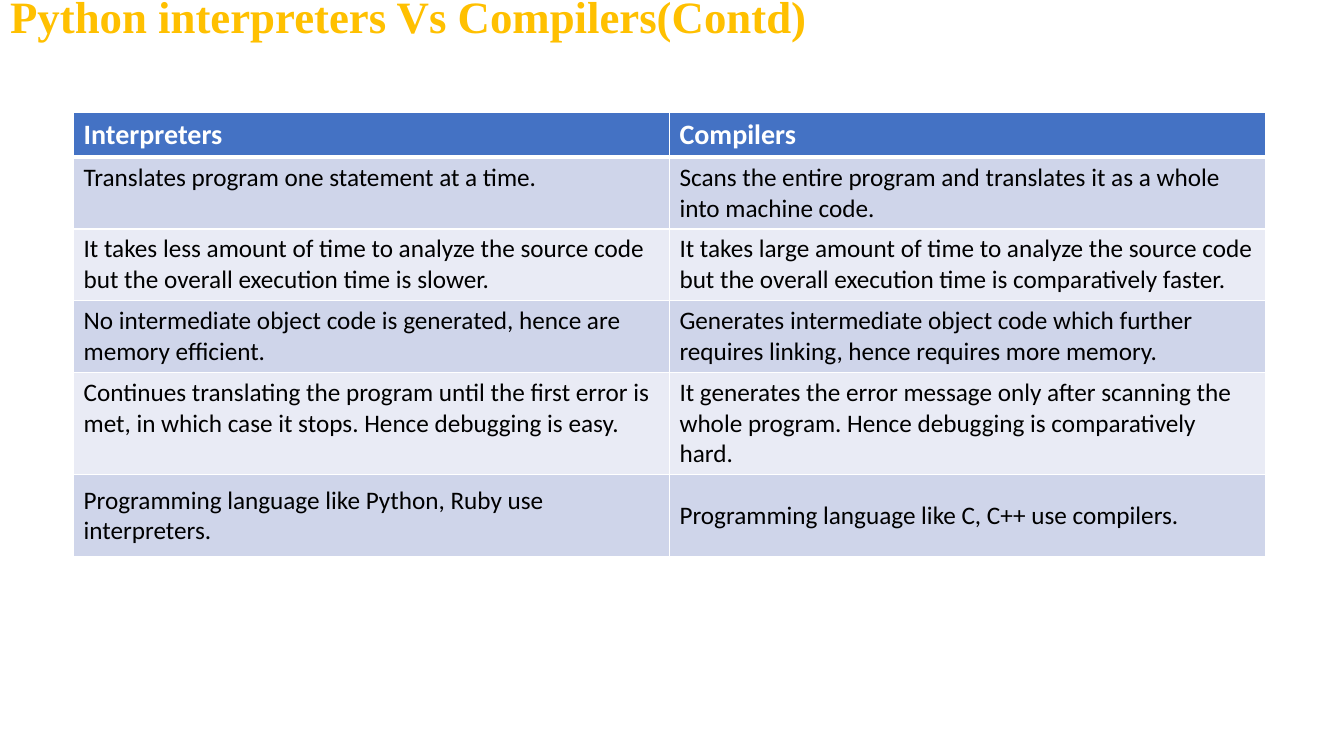
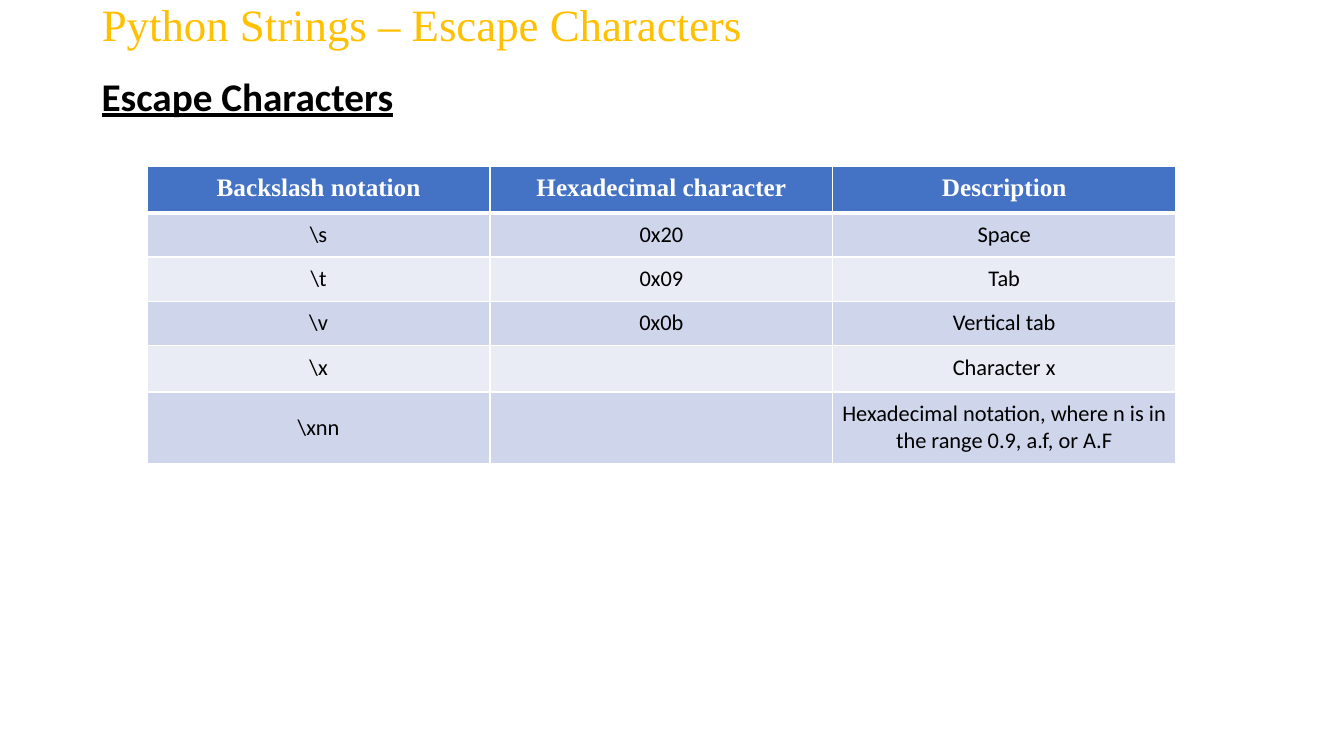
from lxml.etree import SubElement
from pptx import Presentation
from pptx.dml.color import RGBColor
from pptx.enum.text import MSO_ANCHOR as Anchor, MSO_AUTO_SIZE as AutoSize, PP_ALIGN as Align
from pptx.oxml.ns import qn
from pptx.util import Pt

# Shared look
PX = 9144  # 100 px to the inch
SERIF, SANS = "Times New Roman", "Calibri"
GOLD, BLUE, WHITE, BLACK = "FFC000", "4472C4", "FFFFFF", "000000"
BANDS = ("CFD5EA", "E9EBF5")
TITLE_ONLY = 5

INTERPRETER_ROWS = [
    ("Interpreters", "Compilers"),
    ("Translates program one statement at a time.",
     "Scans the entire program and translates it as a whole into machine code."),
    ("It takes less amount of time to analyze the source code but the overall "
     "execution time is slower.",
     "It takes large amount of time to analyze the source code but the overall "
     "execution time is comparatively faster."),
    ("No intermediate object code is generated, hence are memory efficient.",
     "Generates intermediate object code which further requires linking, "
     "hence requires more memory."),
    ("Continues translating the program until the first error is met, "
     "in which case it stops. Hence debugging is easy.",
     "It generates the error message only after scanning the whole program. "
     "Hence debugging is comparatively hard."),
    ("Programming language like Python, Ruby use interpreters.",
     "Programming language like C, C++ use compilers."),
]

ESCAPE_ROWS = [
    ("Backslash notation", "Hexadecimal character", "Description"),
    (r"\s", "0x20", "Space"),
    (r"\t", "0x09", "Tab"),
    (r"\v", "0x0b", "Vertical tab"),
    (r"\x", "", "Character x"),
    (r"\xnn", "", "Hexadecimal notation, where n is in the range 0.9, a.f, or A.F"),
]


def rgb(color):
    return RGBColor.from_string(color)


def write(frame, text, size, font=SANS, color=BLACK, bold=False,
          underline=False, align=Align.LEFT, spacing=None):
    para = frame.paragraphs[0]
    para.alignment = align
    para.line_spacing = spacing
    if not text:
        return
    span = para.add_run()
    span.text = text
    span.font.size = Pt(size)
    span.font.name = font
    span.font.color.rgb = rgb(color)
    span.font.bold = bold
    span.font.underline = underline


def place(box, left, top, width, height):
    box.left, box.top = left * PX, top * PX
    box.width, box.height = width * PX, height * PX


def add_page(deck, title, left, top, width, height, bold=False):
    page = deck.slides.add_slide(deck.slide_layouts[TITLE_ONLY])
    box = page.shapes.title
    place(box, left, top, width, height)
    box.text_frame.auto_size = AutoSize.NONE
    box.text_frame.vertical_anchor = Anchor.MIDDLE
    write(box.text_frame, title, 32, SERIF, GOLD, bold, spacing=0.9)
    return page


def add_heading(page, text, left, top, width, height):
    box = page.shapes.add_textbox(left * PX, top * PX, width * PX, height * PX)
    box.text_frame.word_wrap = True
    write(box.text_frame, text, 28, bold=True, underline=True, spacing=0.9)


def set_borders(cell, top=1, bottom=1):
    props = cell._tc.get_or_add_tcPr()
    for side, width in (("L", 1), ("R", 1), ("T", top), ("B", bottom)):
        line = SubElement(props, qn(f"a:ln{side}"), w=str(Pt(width)))
        fill = SubElement(line, qn("a:solidFill"))
        SubElement(fill, qn("a:srgbClr"), val=WHITE)


def set_margins(cell, left, top, right, bottom):
    cell.margin_left, cell.margin_top = left * PX, top * PX
    cell.margin_right, cell.margin_bottom = right * PX, bottom * PX


def add_banded_table(page, rows, left, top, column_width, heights,
                     head, body, margins=(10, 5, 10, 5)):
    columns = len(rows[0])
    table = page.shapes.add_table(
        len(rows), columns, left * PX, top * PX,
        columns * column_width * PX, sum(heights) * PX).table
    for column in table.columns:
        column.width = column_width * PX
    for index, (texts, height) in enumerate(zip(rows, heights)):
        table.rows[index].height = height * PX
        for cell, text in zip(table.rows[index].cells, texts):
            # The rule below the header is thicker than the others
            set_borders(cell, top=3 if index == 1 else 1,
                        bottom=3 if index == 0 else 1)
            cell.fill.solid()
            cell.fill.fore_color.rgb = rgb(BANDS[(index - 1) % 2] if index else BLUE)
            set_margins(cell, *margins)
            write(cell.text_frame, text, **(body if index else head))
    return table


def build_interpreters(deck):
    page = add_page(deck, "Python interpreters Vs Compilers(Contd)",
                    0, 0, 1063, 38, bold=True)
    table = add_banded_table(
        page, INTERPRETER_ROWS, 73, 112, 591, [43] + [71] * 4 + [81],
        head=dict(size=20, color=WHITE, bold=True), body=dict(size=18))
    for cell in table.rows[len(INTERPRETER_ROWS) - 1].cells:
        cell.vertical_anchor = Anchor.MIDDLE
        set_margins(cell, 10, 10, 8, 9)


def build_escapes(deck):
    page = add_page(deck, "Python Strings – Escape Characters", 91, 5, 1063, 44)
    add_heading(page, "Escape Characters", 91, 72, 1063, 640)
    table = add_banded_table(
        page, ESCAPE_ROWS, 146, 165, 340, [43] + [44] * 4 + [71],
        head=dict(size=18, font=SERIF, color=WHITE, bold=True, align=Align.CENTER),
        body=dict(size=16, align=Align.CENTER), margins=(8, 8, 8, 8))
    table.cell(len(ESCAPE_ROWS) - 1, 0).vertical_anchor = Anchor.MIDDLE


def main():
    deck = Presentation()
    deck.slide_width, deck.slide_height = 1333 * PX, 750 * PX
    build_interpreters(deck)
    build_escapes(deck)
    deck.save("out.pptx")


if __name__ == "__main__":
    main()
